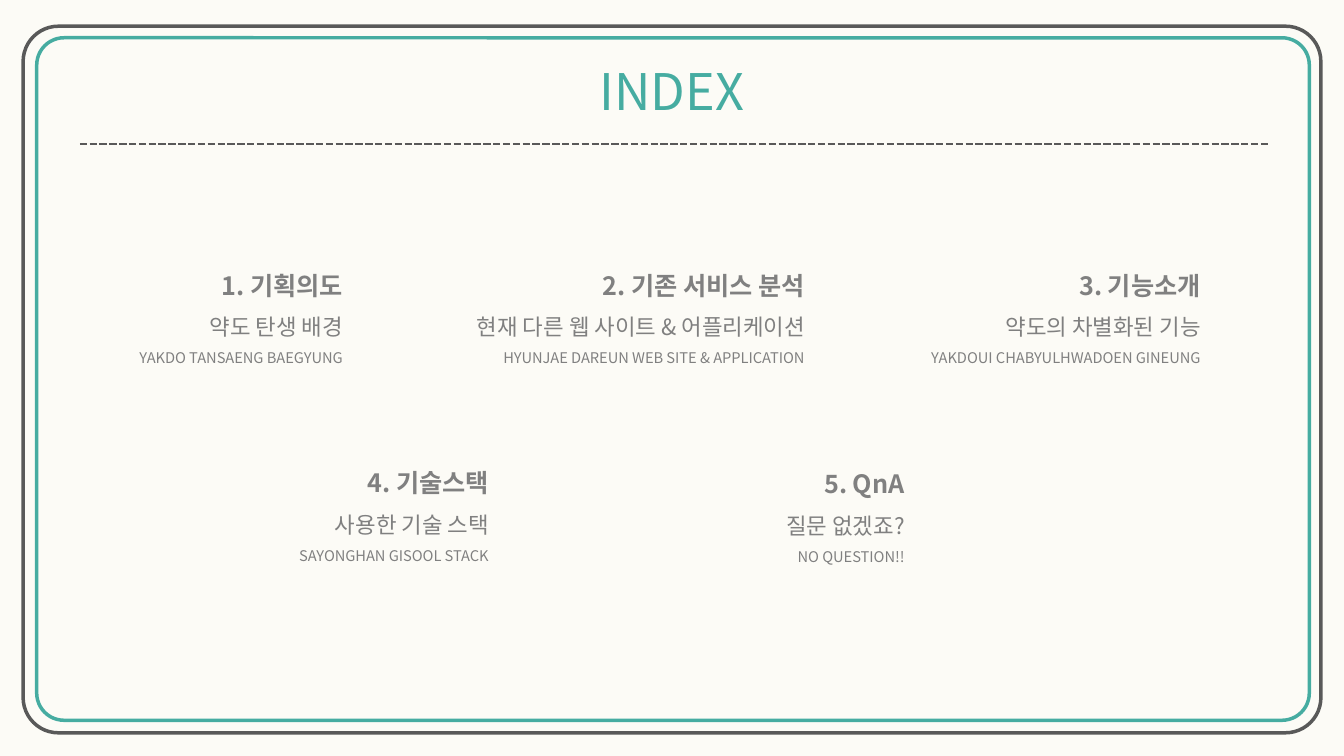
from lxml import etree
from pptx import Presentation
from pptx import util as u
from pptx.dml.color import RGBColor
from pptx.enum import dml, shapes, text
from pptx.oxml.ns import qn

PX = 9525
CREAM = RGBColor(0xFC, 0xFB, 0xF6)
TEAL = RGBColor(0x46, 0xAC, 0xA1)
DARK = RGBColor(0x59, 0x59, 0x59)
GRAY = RGBColor(0x80, 0x80, 0x80)

SECTIONS = [
    (59, 238, 277, "1. 기획의도", "약도 탄생 배경", "YAKDO TANSAENG BAEGYUNG"),
    (396, 238, 380, "2. 기존 서비스 분석", "현재 다른 웹 사이트 & 어플리케이션",
     "HYUNJAE DAREUN WEB SITE & APPLICATION"),
    (836, 238, 317, "3. 기능소개", "약도의 차별화된 기능", "YAKDOUI CHABYULHWADOEN GINEUNG"),
    (198, 426, 277, "4. 기술스택", "사용한 기술 스택", "SAYONGHAN GISOOL STACK"),
    (576, 427, 295, "5. QnA", "질문 없겠죠?", "NO QUESTION!!"),
]


def add_text(p, content, size, color, bold=False, font="Noto Sans CJK KR",
             align=text.PP_ALIGN.RIGHT, spacing=None):
    p.alignment = align
    p.line_spacing = spacing
    r = p.add_run()
    r.text = content
    r.font.size = u.Pt(size)
    r.font.bold = bold
    r.font.color.rgb = color
    r.font.name = font
    etree.SubElement(r.font._element, qn("a:ea")).set("typeface", font)


class Deck:
    """Slide builder that measures in px."""

    def __init__(self, width, height, background):
        self.prs = Presentation()
        self.prs.slide_width = u.Emu(width * PX)
        self.prs.slide_height = u.Emu(height * PX)
        self.s = self.prs.slides.add_slide(self.prs.slide_layouts[6])
        self.s.background.fill.solid()
        self.s.background.fill.fore_color.rgb = background

    def box(self, *lengths):
        return [u.Emu(n * PX) for n in lengths]

    def frame(self, x, y, w, h, color, radius):
        sp = self.s.shapes.add_shape(shapes.MSO_SHAPE.ROUNDED_RECTANGLE, *self.box(x, y, w, h))
        sp.adjustments[0] = radius
        sp.shadow.inherit = False
        sp.fill.background()
        sp.line.color.rgb = color
        sp.line.width = u.Pt(2.5)

    def rule(self, x1, x2, y, color):
        line = self.s.shapes.add_connector(shapes.MSO_CONNECTOR.STRAIGHT, *self.box(x1, y, x2, y))
        line.line.color.rgb = color
        line.line.width = u.Pt(1.75)
        line.line.dash_style = dml.MSO_LINE.SQUARE_DOT
        etree.SubElement(line._element.spPr, qn("a:effectLst"))

    def text_frame(self, x, y, w, h, wrap=True):
        tf = self.s.shapes.add_textbox(*self.box(x, y, w, h)).text_frame
        tf.word_wrap = wrap
        tf.auto_size = text.MSO_AUTO_SIZE.SHAPE_TO_FIT_TEXT
        return tf

    def title(self, x, y, w, h, content):
        tf = self.text_frame(x, y, w, h, wrap=False)
        add_text(tf.paragraphs[0], content, 36, TEAL, align=text.PP_ALIGN.CENTER)

    def section(self, x, y, w, heading, summary, romanized):
        tf = self.text_frame(x, y, w, 117)
        add_text(tf.paragraphs[0], heading, 18, GRAY, bold=True, spacing=1.5)
        add_text(tf.add_paragraph(), summary, 16, GRAY, spacing=1.5)
        add_text(tf.add_paragraph(), romanized, 10.5, GRAY, spacing=1.5)


def main():
    deck = Deck(1280, 720, CREAM)
    deck.frame(35, 36, 1212, 650, TEAL, 0.04)
    deck.frame(22, 25, 1236, 673, DARK, 0.05)
    deck.title(561, 53, 158, 68, "INDEX")
    deck.rule(76, 1210, 137, DARK)
    for section in SECTIONS:
        deck.section(*section)
    deck.prs.save("out.pptx")


if __name__ == "__main__":
    main()
